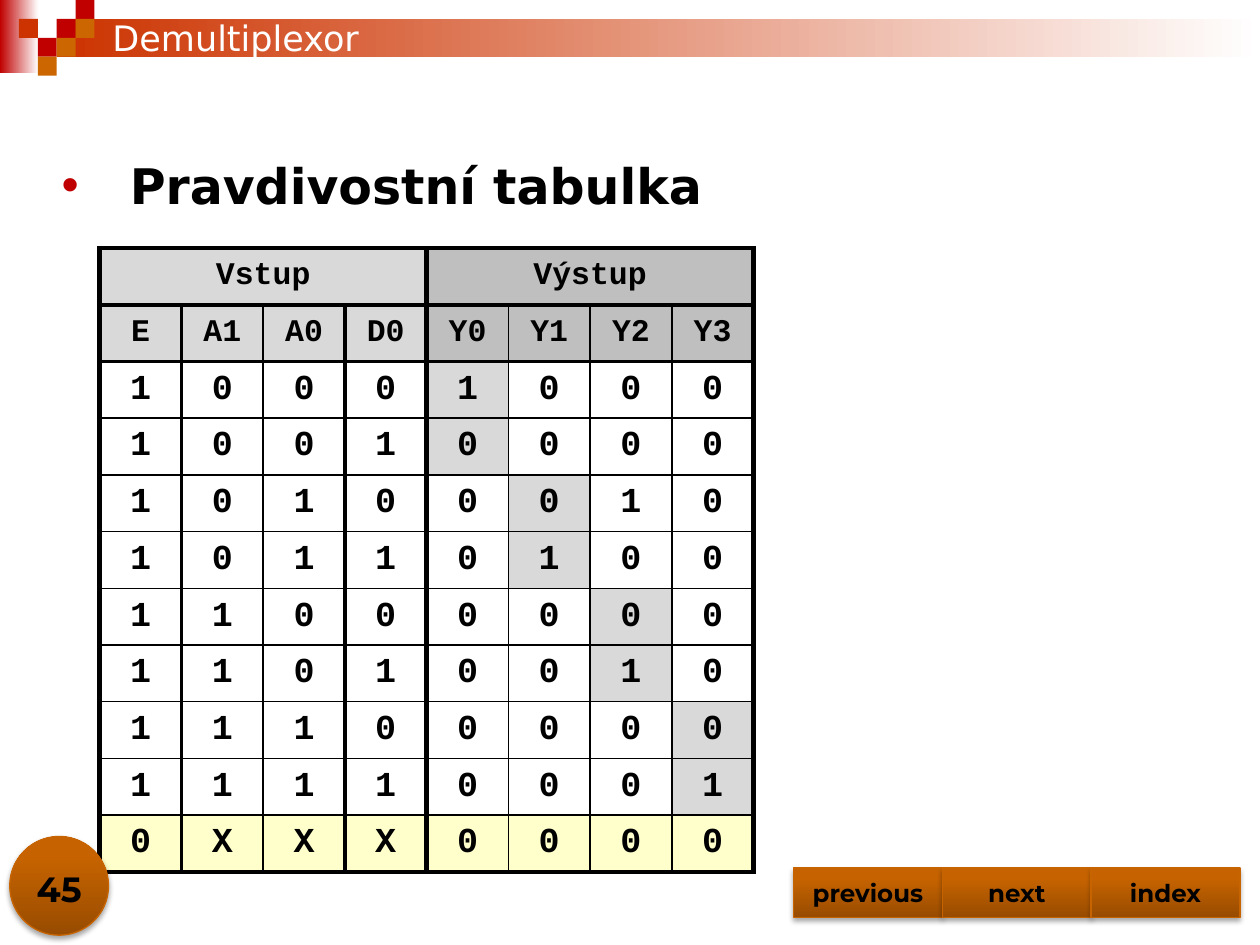
from lxml.etree import SubElement
from pptx import Presentation
from pptx.dml.color import RGBColor
from pptx.enum.shapes import MSO_SHAPE
from pptx.enum.text import MSO_ANCHOR, MSO_AUTO_SIZE, PP_ALIGN
from pptx.oxml.ns import qn
from pptx.util import Pt

BLACK = RGBColor(0x00, 0x00, 0x00)
WHITE = RGBColor(0xFF, 0xFF, 0xFF)
RED = RGBColor(0xC0, 0x00, 0x00)
BRICK = RGBColor(0xCC, 0x33, 0x00)
AMBER = RGBColor(0xCC, 0x66, 0x00)
DARK = RGBColor(0x98, 0x4C, 0x00)
LIGHT = RGBColor(0xC6, 0x63, 0x00)
EDGE = RGBColor(0xC8, 0x64, 0x00)
PALE = RGBColor(0xD9, 0xD9, 0xD9)
GREY = RGBColor(0xBF, 0xBF, 0xBF)
CREAM = RGBColor(0xFF, 0xFF, 0xCC)

# Content
TITLE = "Demultiplexor"
POINT = "Pravdivostní tabulka"
NUMBER = "45"
BUTTONS = ["previous", "next", "index"]
INPUT = ["1000", "1001", "1010", "1011", "1100", "1101", "1110", "1111", "0XXX"]
OUTPUT = ["1000", "0000", "0010", "0100", "0000", "0010", "0000", "0001", "0000"]
# Heading, column names, rows, heading colour, vertical rule widths
TABLES = [
    ("Vstup", ["E", "A1", "A0", "D0"], INPUT, PALE, [3, 2.25, 1, 2.25, 1]),
    ("Výstup", ["Y0", "Y1", "Y2", "Y3"], OUTPUT, GREY, [3, 1, 1, 1, 3]),
]
RULES = [3, 2.25, 2.25] + [1] * 8 + [3]
# Column, row and colour of each header square
SQUARES = [(3, 1, RED), (4, 0, RED), (4, 1, AMBER), (2, 2, RED),
           (1, 1, BRICK), (3, 2, AMBER), (2, 3, AMBER)]

# Sizes in points
UNIT = 10.8
LEFT, TOP, COL, ROW = 57, 141.8, 46.7, 32.4

prs = Presentation()
prs.slide_width, prs.slide_height = Pt(720), Pt(540)
slide = prs.slides.add_slide(prs.slide_layouts[1])
shapes = slide.shapes


def place(item, x, y, w, h):
    item.left, item.top, item.width, item.height = Pt(x), Pt(y), Pt(w), Pt(h)


def write(frame, text, size, face, color=BLACK, bold=True,
          align=PP_ALIGN.CENTER):
    para = frame.paragraphs[0]
    para.alignment = align
    run = para.add_run()
    run.text = text
    font = run.font
    font.size, font.name, font.bold = Pt(size), face, bold
    font.color.rgb = color
    return para


def draw(kind, x, y, w, h):
    item = shapes.add_shape(kind, Pt(x), Pt(y), Pt(w), Pt(h))
    item.shadow.inherit = False
    item.line.fill.background()
    return item


def blend(item, first, last, angle, end=1):
    item.fill.gradient()
    item.fill.gradient_angle = angle
    for stop, color, spot in zip(item.fill.gradient_stops, (first, last), (0, end)):
        stop.color.rgb, stop.position = color, spot


def badge(kind, x, y, w, h):
    item = draw(kind, x, y, w, h)
    blend(item, DARK, LIGHT, 90, 0.8)
    item.line.color.rgb, item.line.width = EDGE, Pt(0.75)
    effects = item._element.spPr.find(qn("a:effectLst"))
    shade = SubElement(effects, qn("a:outerShdw"), blurRad=str(Pt(3.1)),
                       dist=str(Pt(1.8)), dir="5400000", rotWithShape="0")
    color = SubElement(shade, qn("a:srgbClr"), val=str(BLACK))
    SubElement(color, qn("a:alpha"), val="35000")
    return item


def border(cell, sides):
    props = cell._tc.get_or_add_tcPr()
    for i, (side, width) in enumerate(zip("LRTB", sides)):
        line = SubElement(props, qn("a:ln" + side), w=str(Pt(width)))
        fill = SubElement(line, qn("a:solidFill"))
        SubElement(fill, qn("a:srgbClr"), val=str(BLACK))
        props.insert(i, line)


def paint(r, c, head, output):
    if r < 2:
        return head
    if r == len(RULES) - 2:
        return CREAM
    return PALE if output and (r - 2) // 2 == c else WHITE


# Header band and squares
blend(draw(MSO_SHAPE.RECTANGLE, 0, 0, 22, 42), RED, WHITE, 0)
blend(draw(MSO_SHAPE.RECTANGLE, 3 * UNIT, UNIT, 720 - 3 * UNIT, 2 * UNIT),
      BRICK, WHITE, 0)
for col, row, color in SQUARES:
    square = draw(MSO_SHAPE.RECTANGLE, col * UNIT, row * UNIT, UNIT, UNIT)
    square.fill.solid()
    square.fill.fore_color.rgb = color

# Title, brought in front of the band
title = shapes.title
place(title, 57, 5.8, 612, 31.7)
frame = title.text_frame
frame.auto_size = MSO_AUTO_SIZE.NONE
frame.vertical_anchor = MSO_ANCHOR.MIDDLE
write(frame, TITLE, 20, "DejaVu Sans", WHITE, False, PP_ALIGN.LEFT)
shapes._spTree.append(title._element)

# Bullet line
body = slide.placeholders[1]
place(body, 28, 85, 692, 41)
body.text_frame.auto_size = MSO_AUTO_SIZE.NONE
para = write(body.text_frame, POINT, 28, "DejaVu Sans", align=PP_ALIGN.LEFT)
para.space_before = Pt(0)
props = para._p.get_or_add_pPr()
props.set("marL", str(Pt(39)))
props.set("indent", str(Pt(-39)))
tint = SubElement(props, qn("a:buClr"))
SubElement(tint, qn("a:srgbClr"), val=str(RED))
SubElement(props, qn("a:buFont"), typeface="Arial")
SubElement(props, qn("a:buChar"), char="•")

# Truth tables, side by side
for n, (name, names, rows, head, walls) in enumerate(TABLES):
    grid = [[name, "", "", ""], names] + [list(row) for row in rows]
    table = shapes.add_table(len(grid), 4, Pt(LEFT + n * 4 * COL), Pt(TOP),
                             Pt(4 * COL), Pt(ROW * len(grid))).table
    table.first_row = table.horz_banding = False
    for col in table.columns:
        col.width = Pt(COL)
    table.cell(0, 0).merge(table.cell(0, 3))
    for r, row in enumerate(grid):
        table.rows[r].height = Pt(ROW)
        for c, text in enumerate(row):
            cell = table.cell(r, c)
            cell.vertical_anchor = MSO_ANCHOR.MIDDLE
            cell.fill.solid()
            cell.fill.fore_color.rgb = paint(r, c, head, n == 1)
            right = walls[4] if r == 0 else walls[c + 1]
            border(cell, (walls[c], right, RULES[r], RULES[r + 1]))
            if text:
                write(cell.text_frame, text, 18 if r < 2 else 20, "Courier New")

# Slide number
badge(MSO_SHAPE.OVAL, 5.6, 478, 56.4, 56.4)
label = shapes.add_textbox(Pt(0), Pt(487.5), Pt(67.6), Pt(36))
label.text_frame.word_wrap = True
label.text_frame.vertical_anchor = MSO_ANCHOR.BOTTOM
write(label.text_frame, NUMBER, 20, "Montserrat")

# Navigation buttons
for i, text in enumerate(BUTTONS):
    button = badge(MSO_SHAPE.ACTION_BUTTON_CUSTOM, 453.5 + i * 85, 496, 85, 28.3)
    button.text_frame.vertical_anchor = MSO_ANCHOR.MIDDLE
    write(button.text_frame, text, 14, "Montserrat")

prs.save("out.pptx")
